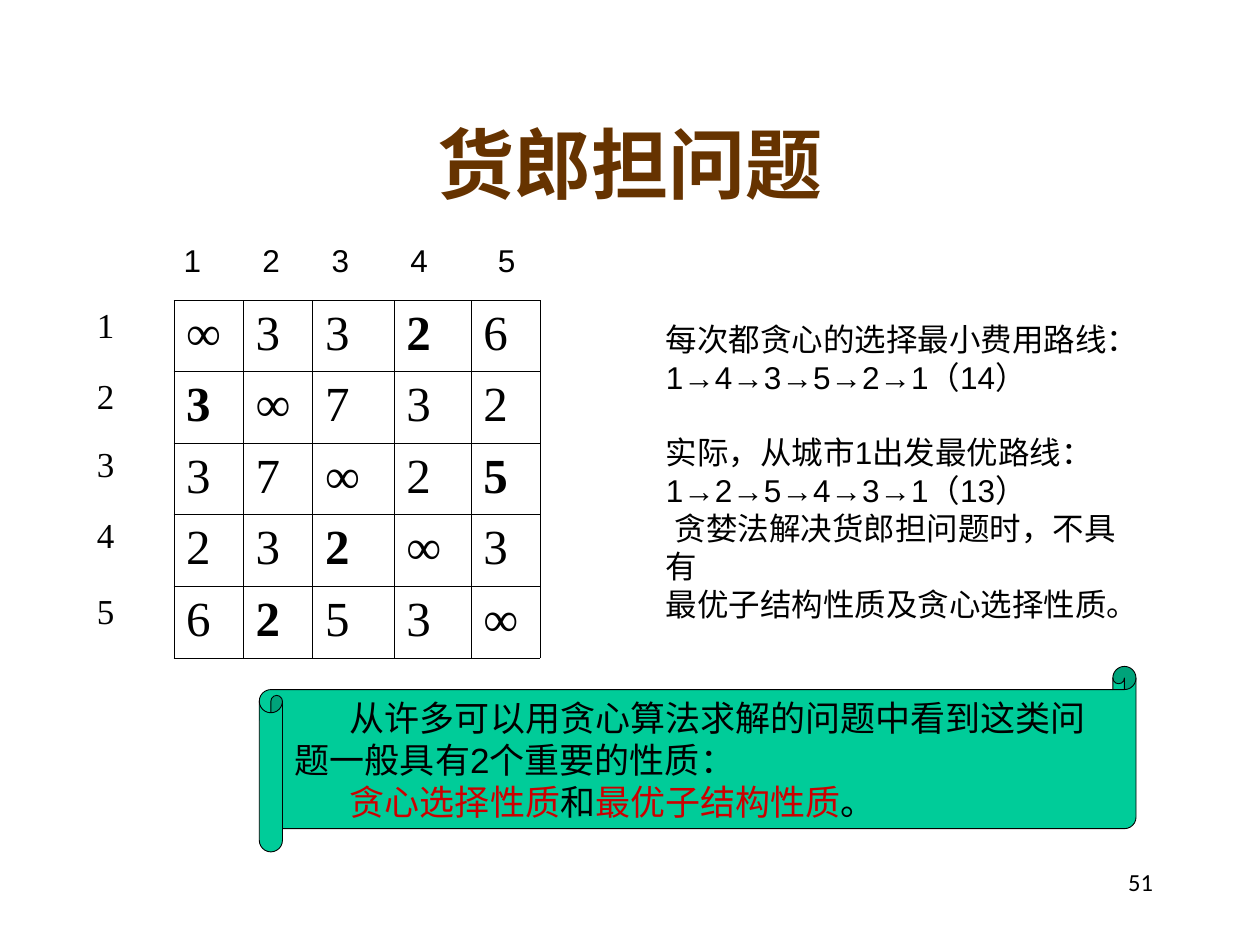
from dataclasses import dataclass

from lxml.etree import SubElement
from pptx import Presentation
from pptx.dml.color import RGBColor
from pptx.enum.shapes import MSO_SHAPE as Shape
from pptx.enum.text import MSO_ANCHOR as Anchor, PP_ALIGN as Align
from pptx.oxml.ns import qn
from pptx.util import Pt


@dataclass(frozen=True)
class Theme:
    """Colours, typefaces and type sizes of the deck."""
    ink: str = "000000"
    brown: str = "663300"
    red: str = "CC0000"
    green: str = "00CC99"
    serif: str = "Times New Roman"
    sans: str = "Arial"
    footer: str = "Calibri"
    title: int = 44
    cost: int = 28
    label: int = 20
    body: int = 18
    number: int = 14


THEME = Theme()
INFINITY = "∞"
COSTS = ["∞3326", "3∞732", "37∞25", "232∞3", "6253∞"]
GREEDY_TOUR = {(0, 3), (1, 0), (2, 4), (3, 2), (4, 1)}
COST_WIDTHS = [39.7, 39.7, 46.5, 44, 39.6]
LABEL_HEIGHTS = [40.3, 38.9, 41, 43, 42.8]
HEADING_TABS = [45, 84.5, 129.5, 179.5]


def write(para, text, size, font=THEME.sans, color=THEME.ink, bold=False,
          align=None, before=0, indent=0, tabs=()):
    """Add a formatted run to a paragraph and set the paragraph's layout."""
    if indent:
        para._p.get_or_add_pPr().set("indent", str(int(Pt(indent))))
    if tabs:
        stops = SubElement(para._p.get_or_add_pPr(), qn("a:tabLst"))
        for stop in tabs:
            SubElement(stops, qn("a:tab"), pos=str(int(Pt(stop))), algn="l")
    if align is not None:
        para.alignment = align
    if before:
        para.space_before = Pt(before)
    span = para.add_run()
    span.text = text
    span.font.size = Pt(size)
    span.font.name = font
    span.font.bold = bold
    span.font.color.rgb = RGBColor.from_string(color)


def add_text(page, box, text, size, wrap=True, anchor=Anchor.TOP, **style):
    """Place a text box with one paragraph and return its frame."""
    frame = page.shapes.add_textbox(*map(Pt, box)).text_frame
    frame.word_wrap = wrap
    frame.vertical_anchor = anchor
    write(frame.paragraphs[0], text, size, **style)
    return frame


def set_borders(cell, widths):
    """Draw cell borders by side, where a zero width means no line."""
    props = cell._tc.get_or_add_tcPr()
    for side, width in zip("LRTB", widths):
        line = SubElement(props, qn(f"a:ln{side}"), w=str(int(Pt(width))))
        if width:
            fill = SubElement(line, qn("a:solidFill"))
            SubElement(fill, qn("a:srgbClr"), val=THEME.ink)
        else:
            SubElement(line, qn("a:noFill"))


def add_grid(page, box, rows, widths, heights, size, bold=(), inner=0, outer=0):
    """Place a plain table of serif characters."""
    table = page.shapes.add_table(len(rows), len(widths), *map(Pt, box)).table
    table.first_row = table.horz_banding = False
    for column, width in zip(table.columns, widths):
        column.width = Pt(width)
    last_row, last_column = len(rows) - 1, len(widths) - 1
    for r, (row, height) in enumerate(zip(rows, heights)):
        table.rows[r].height = Pt(height)
        for c, text in enumerate(row):
            cell = table.cell(r, c)
            edges = (c == 0, c == last_column, r == 0, r == last_row)
            set_borders(cell, [outer if edge else inner for edge in edges])
            cell.fill.background()
            write(cell.text_frame.paragraphs[0], text, size,
                  font=THEME.serif, bold=(r, c) in bold)


def add_cost_matrix(page, box):
    """Place the cost matrix with its row and column labels."""
    left, top, width, height = box
    add_grid(page, box, COSTS, COST_WIDTHS, [height / len(COSTS)] * len(COSTS),
             THEME.cost, bold=GREEDY_TOUR, inner=0.45, outer=0.11)
    add_grid(page, (left - 51, top + 0.5, 39.7, sum(LABEL_HEIGHTS)), "12345",
             [39.7], LABEL_HEIGHTS, THEME.label)
    add_text(page, (left - 1.3, top - 37.5, 204.5, 29), "\t".join("12345"),
             THEME.body, tabs=HEADING_TABS)


def add_routes(page, box):
    """Place the comparison of the greedy and the best route."""
    frame = add_text(page, box, "每次都贪心的选择最小费用路线：", THEME.body, wrap=False)
    lines = [
        ("1→4→3→5→2→1（14）", {}),
        ("实际，从城市1出发最优路线：", {"before": 21.4}),
        ("1→2→5→4→3→1（13）", {}),
        ("贪婪法解决货郎担问题时，不具有", {"indent": 5}),
        ("最优子结构性质及贪心选择性质。", {}),
    ]
    for text, style in lines:
        write(frame.add_paragraph(), text, THEME.body, **style)


def add_scroll(page, box):
    """Place the scroll that names the two properties."""
    scroll = page.shapes.add_shape(Shape.HORIZONTAL_SCROLL, *map(Pt, box))
    scroll.shadow.inherit = False
    scroll.adjustments[0] = 0.125
    scroll.fill.solid()
    scroll.fill.fore_color.rgb = RGBColor.from_string(THEME.green)
    scroll.line.color.rgb = RGBColor.from_string(THEME.ink)
    scroll.line.width = Pt(0.5)
    frame = scroll.text_frame
    frame.word_wrap = True
    frame.vertical_anchor = Anchor.MIDDLE
    layout = {"align": Align.LEFT, "indent": 31.4}
    write(frame.paragraphs[0],
          "从许多可以用贪心算法求解的问题中看到这类问题一般具有2个重要的性质：",
          THEME.label, **layout)
    para = frame.add_paragraph()
    for text, color in [("贪心选择性质", THEME.red), ("和", THEME.ink),
                        ("最优子结构性质", THEME.red), ("。", THEME.ink)]:
        write(para, text, THEME.label, color=color, **layout)


def main():
    """Build the slide and save the deck."""
    deck = Presentation()
    deck.slide_width, deck.slide_height = Pt(720), Pt(540)
    page = deck.slides.add_slide(deck.slide_layouts[6])
    add_text(page, (516, 492, 150, 36), "51", THEME.number,
             font=THEME.footer, align=Align.RIGHT)
    add_text(page, (24, 48, 672, 90), "货郎担问题", THEME.title, font=THEME.serif,
             color=THEME.brown, bold=True, align=Align.CENTER, anchor=Anchor.MIDDLE)
    add_cost_matrix(page, (99.2, 171.5, 209.5, 204.5))
    add_routes(page, (373.5, 179.5, 288, 158.5))
    add_scroll(page, (148.2, 380.8, 501, 106))
    deck.save("out.pptx")


if __name__ == "__main__":
    main()
